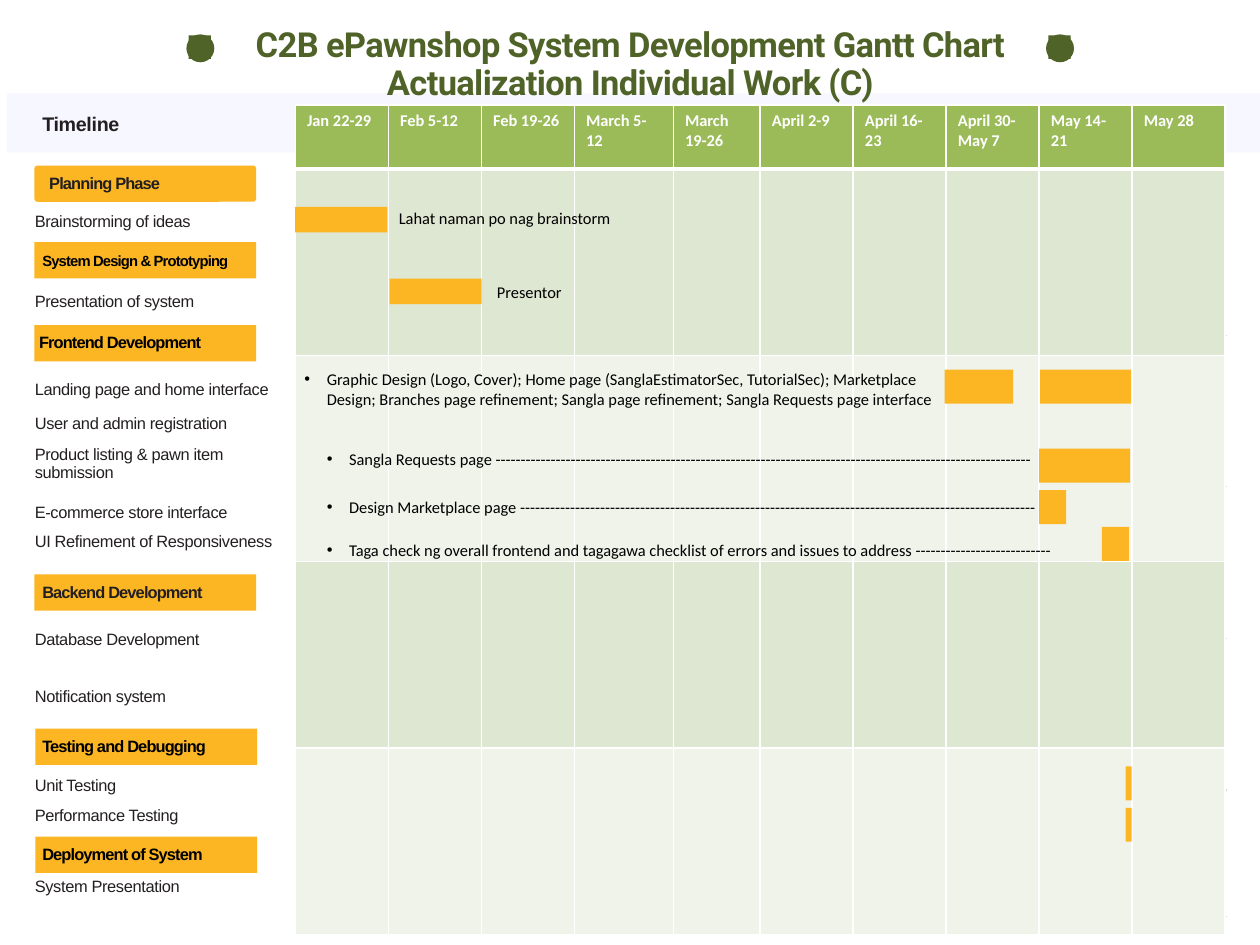
from lxml.etree import SubElement
from pptx import Presentation
from pptx.dml.color import RGBColor
from pptx.enum.shapes import MSO_CONNECTOR as Connector, MSO_SHAPE as Shape
from pptx.enum.text import MSO_ANCHOR as Anchor, MSO_AUTO_SIZE as AutoSize, PP_ALIGN as Align
from pptx.oxml.ns import qn
from pptx.util import Cm, Pt

# ---- Content (lengths in cm) ----
COLORS = {
    "olive": "4F6228", "amber": "FCB624", "header": "9BBB59", "sage": "DEE7D1",
    "mist": "EFF3EA", "band": "F7F7FF", "rule": "D5D5D5", "ink": "231F20",
    "black": "000000", "white": "FFFFFF",
}
TITLE = ["C2B ePawnshop System Development Gantt Chart", "Actualization Individual Work (C)"]
PERIODS = ["Jan 22-29", "Feb 5-12", "Feb 19-26", "March 5-12", "March 19-26",
           "April 2-9", "April 16-23", "April 30-May 7", "May 14-21", "May 28"]
COLUMN_WIDTHS = [2, 2, 2, 2.13, 1.87, 2, 2, 2, 2, 2]
ROW_HEIGHTS = [1.37, 4.02, 4.42, 4.02, 4.02]

# name, left, top, text indent, text size, text colour, outline
PHASES = [
    ("Planning Phase", 0.74, 3.56, 0.3, 10, "ink", Shape.ROUNDED_RECTANGLE),
    ("System Design & Prototyping", 0.74, 5.21, 0.17, 9, "black", Shape.RECTANGLE),
    ("Frontend Development", 0.74, 6.99, 0.1, 10, "black", Shape.RECTANGLE),
    ("Backend Development", 0.74, 12.35, 0.17, 10, "ink", Shape.RECTANGLE),
    ("Testing and Debugging", 0.76, 15.67, 0.15, 10, "black", Shape.RECTANGLE),
    ("Deployment of System", 0.76, 17.99, 0.15, 10, "black", Shape.RECTANGLE),
]
# name, top
TASKS = [
    ("Brainstorming of ideas", 4.57), ("Presentation of system", 6.3),
    ("Landing page and home interface", 8.18), ("User and admin registration", 8.92),
    ("Product listing & pawn item submission", 9.58), ("E-commerce store interface", 10.82),
    ("UI Refinement of Responsiveness", 11.46), ("Database Development", 13.56),
    ("Notification system", 14.78), ("Unit Testing", 16.71),
    ("Performance Testing", 17.35), ("System Presentation", 18.87),
]
# left, top, width, height
BARS = [
    (6.35, 4.45, 1.98, 0.55), (8.38, 5.99, 1.98, 0.55),
    (20.32, 7.95, 1.47, 0.73), (22.37, 7.95, 1.96, 0.73),
    (22.35, 9.65, 1.96, 0.73), (22.35, 10.54, 0.58, 0.73), (23.7, 11.33, 0.58, 0.73),
    (24.21, 16.48, 0.13, 0.73), (24.21, 17.37, 0.13, 0.73),
]
# text, left, top, width, height, bulleted
NOTES = [
    ("Graphic Design (Logo, Cover); Home page (SanglaEstimatorSec, TutorialSec); Marketplace "
     "Design; Branches page refinement; Sangla page refinement; Sangla Requests page interface",
     6.3, 7.82, 14.2, 1.12, True),
    ("Sangla Requests page " + "-" * 107, 6.78, 9.53, 18.01, 0.69, True),
    ("Design Marketplace page " + "-" * 103, 6.78, 10.57, 18.01, 0.69, True),
    ("Taga check ng overall frontend and tagagawa checklist of errors and issues to address "
     + "-" * 27, 6.78, 11.48, 18.11, 0.69, True),
    ("Lahat naman po nag brainstorm", 8.33, 4.34, 5.61, 0.69, False),
    ("Presentor", 10.44, 5.94, 5.61, 0.69, False),
]


# ---- Helpers ----
def rgb(name):
    return RGBColor.from_string(COLORS[name])


def box(*lengths):
    return [Cm(length) for length in lengths]


def write_text(frame, text, font="Arial", size=10, color="ink", bold=False, spacing=0,
               leading=None, align=Align.LEFT, bullet=False, margin=None):
    """Fill a text frame; each line of text becomes a paragraph."""
    frame.word_wrap = True
    if margin is not None:
        frame.margin_left = Cm(margin)
        frame.margin_right = frame.margin_top = frame.margin_bottom = 0
    frame.text = text
    for paragraph in frame.paragraphs:
        paragraph.alignment = align
        if leading:
            paragraph.line_spacing = Pt(leading)
        if bullet:
            properties = paragraph._p.get_or_add_pPr()
            properties.set("marL", str(Cm(0.48)))
            properties.set("indent", str(-Cm(0.48)))
            SubElement(properties, qn("a:buFont"), typeface="Arial")
            SubElement(properties, qn("a:buChar"), char="•")
        run = paragraph.runs[0]
        run.font.name, run.font.size, run.font.bold = font, Pt(size), bold
        run.font.color.rgb = rgb(color)
        run._r.get_or_add_rPr().set("spc", str(int(spacing * 100)))


def add_block(outline, lengths, color):
    shape = slide.shapes.add_shape(outline, *box(*lengths))
    shape.shadow.inherit = False
    shape.fill.solid()
    shape.fill.fore_color.rgb = rgb(color)
    shape.line.fill.background()
    return shape


def add_text(text, *lengths, **text_format):
    write_text(slide.shapes.add_textbox(*box(*lengths)).text_frame, text, **text_format)


def style_cell(cell, color, bottom):
    properties = cell._tc.get_or_add_tcPr()
    for side, points in (("lnL", 1), ("lnR", 1), ("lnT", 1), ("lnB", bottom)):
        line = SubElement(properties, qn("a:" + side), w=str(Pt(points)))
        fill = SubElement(line, qn("a:solidFill"))
        SubElement(fill, qn("a:srgbClr"), val=COLORS["white"])
    cell.fill.solid()
    cell.fill.fore_color.rgb = rgb(color)


presentation = Presentation()
presentation.slide_width, presentation.slide_height = box(27.1, 20.32)
slide = presentation.slides.add_slide(presentation.slide_layouts[5])

# ---- Header band, title and dots ----
add_block(Shape.RECTANGLE, (0.15, 2.01, 27.1, 1.27), "band")
for left in (4.01, 22.5):
    add_block(Shape.OVAL, (left, 0.74, 0.6, 0.6), "olive")
    add_block(Shape.RECTANGLE, (left + 0.05, 0.76, 0.48, 0.51), "olive")

title = slide.shapes.title
title.left, title.top, title.width, title.height = box(4.93, 0.56, 17.25, 1.65)
title.text_frame.auto_size = AutoSize.NONE
title.text_frame.vertical_anchor = Anchor.TOP
write_text(title.text_frame, "\n".join(TITLE), font="Roboto", size=21, color="olive", bold=True,
           spacing=-0.4, leading=23.3, align=Align.CENTER, margin=0)
title._element.getparent().append(title._element)  # in front of the band

# ---- Horizontal rules ----
for top in [7.21 + 3.26 * step for step in range(4)] + [19.71]:
    rule = slide.shapes.add_connector(Connector.STRAIGHT, *box(6.53, top, 26.39, top))
    rule.line.color.rgb, rule.line.width = rgb("rule"), Pt(0.75)
    SubElement(rule._element.spPr, qn("a:effectLst"))

# ---- Timeline grid ----
table = slide.shapes.add_table(len(ROW_HEIGHTS), len(PERIODS), *box(
    6.35, 2.26, sum(COLUMN_WIDTHS), sum(ROW_HEIGHTS))).table
for column, width in zip(table.columns, COLUMN_WIDTHS):
    column.width = Cm(width)
for row_index, height in enumerate(ROW_HEIGHTS):
    table.rows[row_index].height = Cm(height)
    color = "header" if row_index == 0 else ("mist", "sage")[row_index % 2]
    for cell in table.rows[row_index].cells:
        style_cell(cell, color, 3 if row_index == 0 else 1)
for cell, period in zip(table.rows[0].cells, PERIODS):
    write_text(cell.text_frame, period, font="Calibri", color="white", bold=True)

# ---- Phases and tasks ----
add_text("Timeline", 0.91, 2.44, 4.32, 0.46, size=12, bold=True, spacing=-0.2,
         leading=13.3, margin=0)
for name, left, top, indent, size, color, outline in PHASES:
    phase = add_block(outline, (left, top, 4.77, 0.78), "amber")
    if outline == Shape.ROUNDED_RECTANGLE:
        phase.adjustments[0] = 0.09
    phase.text_frame.vertical_anchor = Anchor.MIDDLE
    write_text(phase.text_frame, name, size=size, color=color, bold=True, spacing=-0.5,
               leading=11.1, margin=indent)
for name, top in TASKS:
    add_text(name, 0.75, top, 5.79, 0.41, spacing=-0.2, leading=11.1, margin=0)

# ---- Bars and notes ----
for bar in BARS:
    add_block(Shape.RECTANGLE, bar, "amber")
for text, left, top, width, height, bullet in NOTES:
    add_text(text, left, top, width, height, font="Calibri", color="black", bullet=bullet)

presentation.save("out.pptx")
